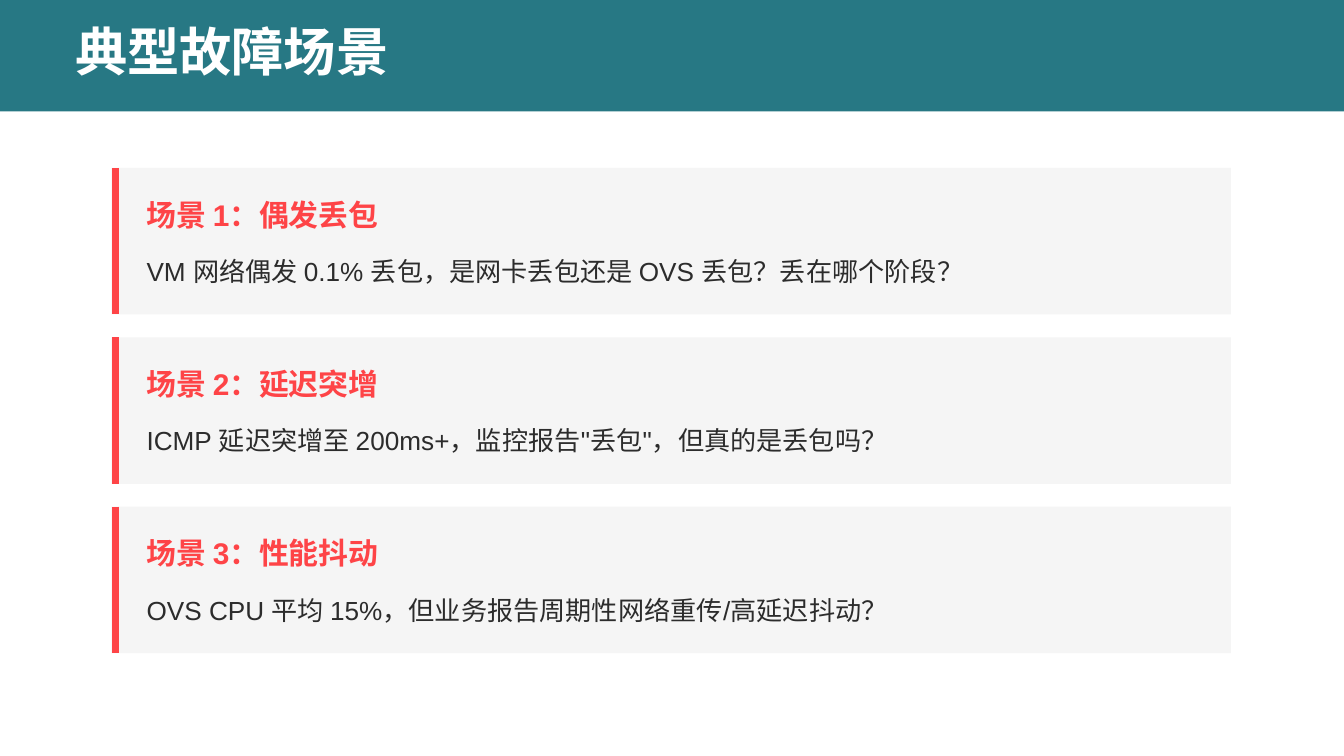
import pptx
import pptx.util
import pptx.dml.color
import pptx.enum.shapes
import pptx.oxml
import pptx.oxml.ns
from pptx.util import Inches

TEAL, RED, GRAY, INK, WHITE = "277884", "FE4447", "F5F5F5", "2C2C2C", "FFFFFF"

SLIDE_WIDTH = 10
SLIDE_HEIGHT = SLIDE_WIDTH * 9 / 16

SCENARIOS = [
    ("场景 1：偶发丢包", "VM 网络偶发 0.1% 丢包，是网卡丢包还是 OVS 丢包？丢在哪个阶段？"),
    ("场景 2：延迟突增", "ICMP 延迟突增至 200ms+，监控报告\"丢包\"，但真的是丢包吗？"),
    ("场景 3：性能抖动", "OVS CPU 平均 15%，但业务报告周期性网络重传/高延迟抖动？"),
]
CARD_LEFT, CARD_TOP, CARD_WIDTH, CARD_HEIGHT = 0.83, 1.25, 8.33, 1.09
CARD_PITCH = 1.26


def color(value):
    return pptx.dml.color.RGBColor.from_string(value)


def add_rect(s, x, y, w, h, fill):
    sp = s.shapes.add_shape(pptx.enum.shapes.MSO_SHAPE.RECTANGLE,
                            Inches(x), Inches(y), Inches(w), Inches(h))
    sp.shadow.inherit = False
    sp.fill.solid()
    sp.fill.fore_color.rgb = color(fill)
    sp.line.fill.background()


def add_accent(s, x, top, bottom):
    """Draw the thick vertical line along a card's left edge."""
    line = s.shapes.add_connector(pptx.enum.shapes.MSO_CONNECTOR.STRAIGHT,
                                  Inches(x), Inches(top), Inches(x), Inches(bottom))
    line.line.color.rgb = color(RED)
    line.line.width = pptx.util.Pt(3.75)
    sp_pr = line._element.spPr
    sp_pr.append(pptx.oxml.parse_xml(
        f"<a:effectLst {pptx.oxml.ns.nsdecls('a')}/>"))


def add_text(s, x, y, w, h, text, size, fill, bold=False, wrap=True):
    """Add a one-paragraph box without margins and return the paragraph."""
    tf = s.shapes.add_textbox(Inches(x), Inches(y), Inches(w), Inches(h)).text_frame
    tf.word_wrap = wrap
    tf.margin_left = tf.margin_right = tf.margin_top = tf.margin_bottom = 0
    p = tf.paragraphs[0]
    p.text = text
    p.font.name = "Arial"
    p.font.size = pptx.util.Pt(size)
    p.font.bold = bold
    p.font.color.rgb = color(fill)
    return p


def add_card(s, top, heading, question):
    add_rect(s, CARD_LEFT, top, CARD_WIDTH, CARD_HEIGHT, GRAY)
    add_accent(s, CARD_LEFT + 0.03, top, top + CARD_HEIGHT)
    text_left = CARD_LEFT + 0.26
    p = add_text(s, text_left, top + 0.21, 8.02, 0.31, heading, 16, RED, bold=True)
    p.space_after = pptx.util.Pt(8)
    p = add_text(s, text_left, top + 0.63, 8.02, 0.25, question, 14, INK)
    p.line_spacing = pptx.util.Pt(18.2)


def main():
    prs = pptx.Presentation()
    prs.slide_width, prs.slide_height = Inches(SLIDE_WIDTH), Inches(SLIDE_HEIGHT)
    s = prs.slides.add_slide(prs.slide_layouts[6])
    add_rect(s, 0, 0, SLIDE_WIDTH, 0.83, TEAL)
    add_text(s, 0.56, 0.14, 2.38, 0.55, "典型故障场景", 28, WHITE, bold=True)
    for i, (heading, question) in enumerate(SCENARIOS):
        add_card(s, CARD_TOP + i * CARD_PITCH, heading, question)
    prs.save("out.pptx")


if __name__ == "__main__":
    main()
